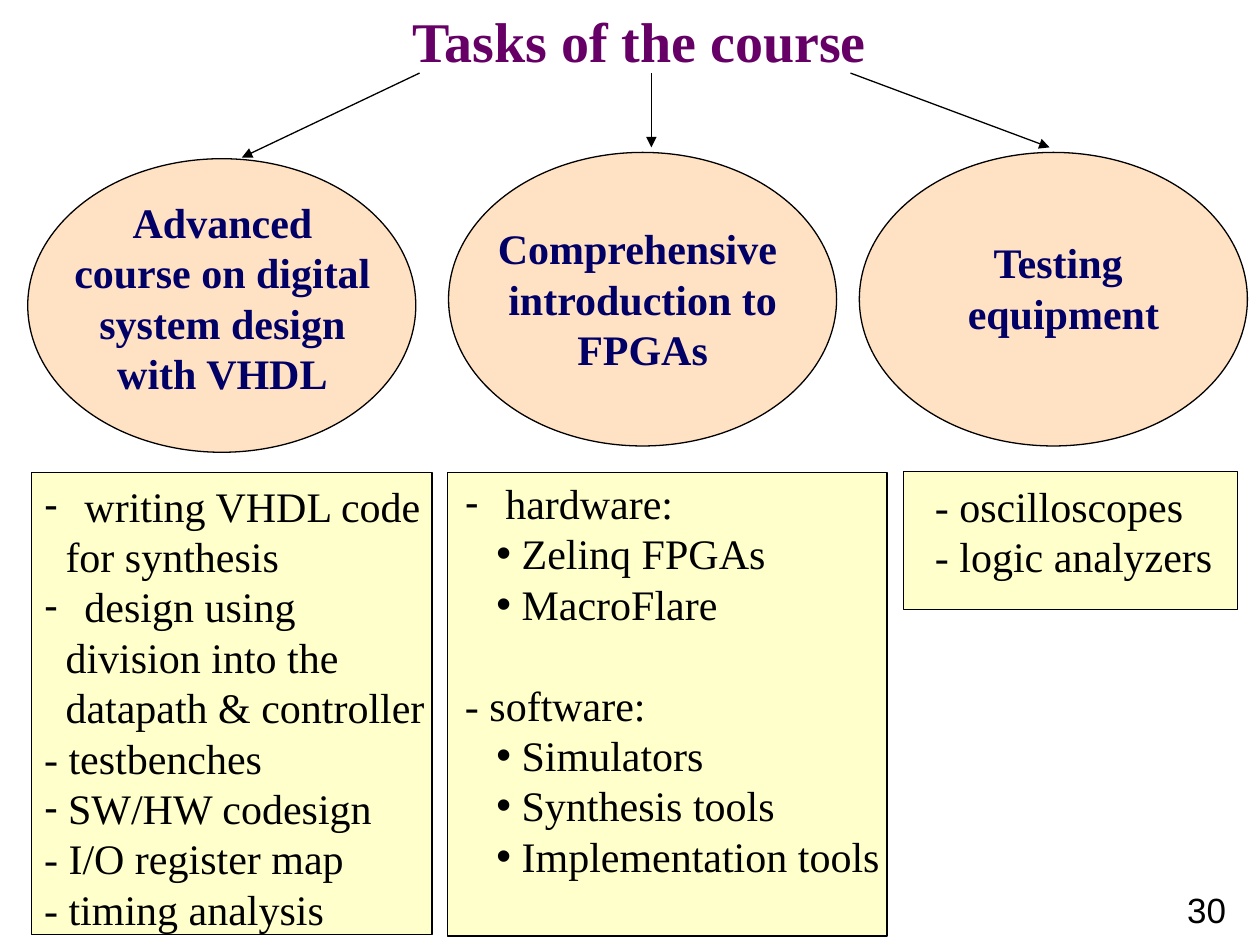
from typing import NamedTuple

from lxml import etree
from pptx import Presentation
from pptx import util as u
from pptx.dml import color
from pptx.enum import shapes, text
from pptx.oxml import ns

SERIF = "Times New Roman"
BLACK = "000000"
NAVY = "000066"
PLUM = "660066"
PEACH = "FFE1C3"
CREAM = "FFFFCC"


class Box(NamedTuple):
    left: float
    top: float
    width: float
    height: float


class Style(NamedTuple):
    size: float
    hue: str
    bold: bool = False
    font: str = SERIF
    align: text.PP_ALIGN = text.PP_ALIGN.LEFT


class Line(NamedTuple):
    words: str
    mark: str = ""
    left: float = 0
    hang: float = 0
    gap: float = 0


class Task(NamedTuple):
    oval: Box
    label: Box
    name: list[str]
    panel: Box
    place: Box
    items: list[Line]
    start: tuple[float, float]
    end: tuple[float, float]


def rgb(code: str) -> color.RGBColor:
    return color.RGBColor.from_string(code)


def move(shape, box: Box) -> None:
    shape.left, shape.top, shape.width, shape.height = map(u.Inches, box)


def draw(slide, kind, box: Box, fill: str) -> None:
    shape = slide.shapes.add_shape(kind, *map(u.Inches, box))
    shape.shadow.inherit = False
    shape.fill.solid()
    shape.fill.fore_color.rgb = rgb(fill)
    shape.line.color.rgb = rgb(BLACK)
    shape.line.width = u.Pt(0.75)


def arrow(slide, start: tuple[float, float], end: tuple[float, float]) -> None:
    link = slide.shapes.add_connector(
        shapes.MSO_CONNECTOR.STRAIGHT, *map(u.Inches, start + end))
    link.line.color.rgb = rgb(BLACK)
    link.line.width = u.Pt(0.75)
    etree.SubElement(link.line._get_or_add_ln(), ns.qn("a:tailEnd"), type="triangle")
    etree.SubElement(link._element.spPr, ns.qn("a:effectLst"))


def indent(para, line: Line) -> None:
    props = para._p.get_or_add_pPr()
    props.set("marL", str(u.Inches(line.left)))
    props.set("indent", str(-u.Inches(line.hang)))
    if line.mark:
        etree.SubElement(props, ns.qn("a:buChar"), char=line.mark)
    else:
        etree.SubElement(props, ns.qn("a:buNone"))


def write(shape, box: Box, lines: list[Line], style: Style, wrap: bool = False) -> None:
    move(shape, box)
    frame = shape.text_frame
    frame.word_wrap = wrap
    frame.auto_size = text.MSO_AUTO_SIZE.NONE if wrap else text.MSO_AUTO_SIZE.SHAPE_TO_FIT_TEXT
    frame.vertical_anchor = text.MSO_ANCHOR.TOP
    for i, line in enumerate(lines):
        para = frame.add_paragraph() if i else frame.paragraphs[0]
        indent(para, line)
        para.alignment = style.align
        para.line_spacing = u.Pt(style.size * 1.2)
        para.space_before = u.Pt(line.gap)
        run = para.add_run()
        run.text = line.words
        run.font.name = style.font
        run.font.size = u.Pt(style.size)
        run.font.bold = style.bold
        run.font.color.rgb = rgb(style.hue)


def dash(words: str) -> Line:
    return Line(words, "-", 0.32, 0.32)


def rest(words: str) -> Line:
    return Line(words, left=0.17)


def dot(words: str) -> Line:
    return Line(words, "•", 0.45, 0.2)


TASKS = [
    Task(Box(0.22, 1.26, 3.08, 2.33), Box(0.49, 1.51, 2.55, 1.7),
         ["Advanced", "course on digital", "system design", "with VHDL"],
         Box(0.25, 3.75, 3.18, 3.67), Box(0.25, 3.76, 3.24, 3.74),
         [dash("writing VHDL code"), rest("for synthesis"),
          dash("design using"), rest("division into the"),
          rest("datapath & controller"), Line("- testbenches"),
          Line("SW/HW codesign", "-", 0.19, 0.19),
          Line("- I/O register map"), Line("- timing analysis")],
         (3.33, 0.58), (1.92, 1.25)),
    Task(Box(3.56, 1.21, 3.08, 2.33), Box(3.84, 1.72, 2.52, 1.31),
         ["Comprehensive ", "introduction to", "FPGAs"],
         Box(3.55, 3.75, 3.49, 3.68), Box(3.59, 3.74, 3.53, 3.33),
         [dash("hardware:"), dot("Zelinq FPGAs"), dot("MacroFlare"),
          Line("- software:", gap=28.8), dot("Simulators"),
          dot("Synthesis tools"), dot("Implementation tools")],
         (5.17, 0.58), (5.17, 1.17)),
    Task(Box(6.82, 1.21, 3.08, 2.33), Box(7.58, 1.83, 1.72, 0.9),
         ["Testing ", "equipment"],
         Box(7.17, 3.74, 2.65, 1.1), Box(7.32, 3.76, 2.42, 0.91),
         [Line("- oscilloscopes"), Line("- logic analyzers")],
         (6.75, 0.58), (8.33, 1.17)),
]


def main() -> None:
    deck = Presentation()
    deck.slide_width, deck.slide_height = u.Inches(10), u.Inches(7.5)
    slide = deck.slides.add_slide(deck.slide_layouts[4])
    tree = slide.shapes._spTree
    title, *lists, spare = slide.placeholders
    tree.remove(spare._element)

    write(title, Box(3.17, 0, 3.85, 0.63), [Line("Tasks of the course")],
          Style(32, PLUM, True))
    label = Style(24, NAVY, True, align=text.PP_ALIGN.CENTER)
    for task, body in zip(TASKS, lists):
        draw(slide, shapes.MSO_SHAPE.RECTANGLE, task.panel, CREAM)
        draw(slide, shapes.MSO_SHAPE.OVAL, task.oval, PEACH)
        write(slide.shapes.add_textbox(0, 0, 0, 0), task.label,
              [Line(words) for words in task.name], label)
        tree.append(body._element)
        write(body, task.place, task.items, Style(24, BLACK))
        arrow(slide, task.start, task.end)
    write(slide.shapes.add_textbox(0, 0, 0, 0), Box(7.75, 7, 2.08, 0.5), [Line("30")],
          Style(20, BLACK, font="Arial", align=text.PP_ALIGN.RIGHT), True)
    deck.save("out.pptx")


if __name__ == "__main__":
    main()
